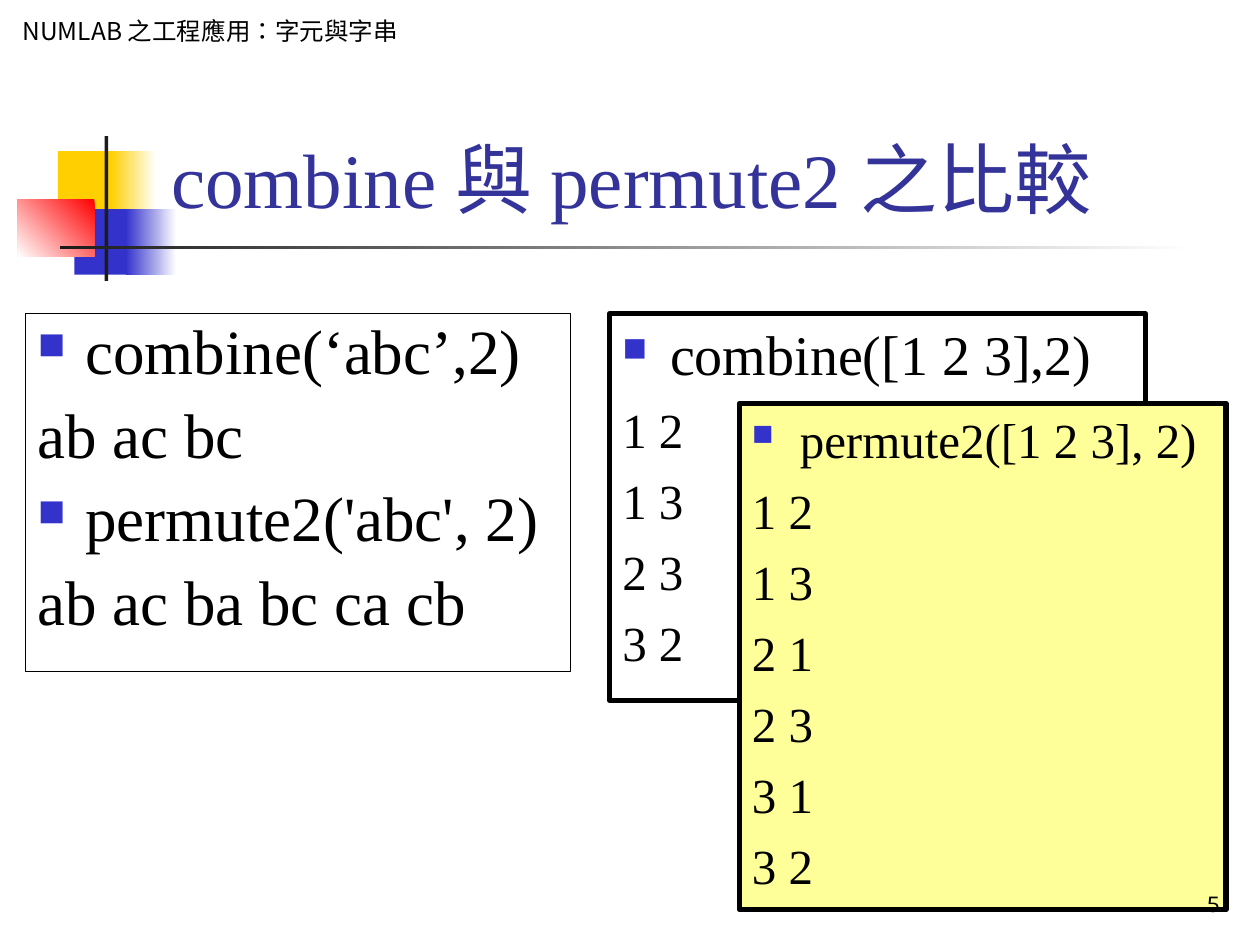
"""Build the slide comparing the output of combine and permute2."""
from dataclasses import dataclass

from lxml.etree import SubElement
from pptx import Presentation
from pptx.dml.color import RGBColor
from pptx.enum.shapes import MSO_SHAPE
from pptx.enum.text import MSO_ANCHOR, MSO_AUTO_SIZE, PP_ALIGN
from pptx.oxml.ns import qn
from pptx.util import Pt


@dataclass(frozen=True)
class Theme:
    black: str = "000000"
    white: str = "FFFFFF"
    yellow: str = "FFCF01"
    blue: str = "3333CC"
    red: str = "FF0000"
    charcoal: str = "1C1C1C"
    title_blue: str = "333399"
    pale_yellow: str = "FFFF99"
    serif: str = "Times New Roman"
    cjk: str = "Noto Sans CJK SC"
    number_font: str = "Karla"
    title_size: int = 44
    large: int = 36
    medium: int = 32
    small: int = 28
    caption: int = 14


theme = Theme()
PX = 914400 // 100
INDENT = 38 * PX


def write(frame, text, *, size, font=theme.serif, color=theme.black, align=PP_ALIGN.LEFT,
          before=0, spacing=None, hanging=False, bullet=False):
    paragraph = frame.paragraphs[0]
    if paragraph.runs:
        paragraph = frame.add_paragraph()
    properties = paragraph._p.get_or_add_pPr()
    if hanging:
        properties.set("marL", str(INDENT))
        properties.set("indent", str(-INDENT))
    if bullet:
        bullet_color = SubElement(properties, qn("a:buClr"))
        SubElement(bullet_color, qn("a:srgbClr"), val=theme.blue)
        SubElement(properties, qn("a:buSzPct"), val="60000")
        SubElement(properties, qn("a:buChar"), char="■")
    paragraph.alignment = align
    paragraph.space_before = Pt(before)
    if spacing:
        paragraph.line_spacing = spacing
    run = paragraph.add_run()
    run.text = text
    run.font.size = Pt(size)
    run.font.name = font
    run.font.color.rgb = RGBColor.from_string(color)
    run_properties = run._r.get_or_add_rPr()
    run_properties.set("lang", "zh-TW")
    SubElement(run_properties, qn("a:ea"), typeface=theme.cjk)


def add_box(bounds, fill=None, fade=None, angle=180, outline=None):
    box = slide.shapes.add_shape(MSO_SHAPE.RECTANGLE, *(value * PX for value in bounds))
    box.shadow.inherit = False
    if fade:
        box.fill.gradient()
        box.fill.gradient_angle = angle
        for stop, color in zip(box.fill.gradient_stops, fade):
            stop.color.rgb = RGBColor.from_string(color)
    elif fill:
        box.fill.solid()
        box.fill.fore_color.rgb = RGBColor.from_string(fill)
    else:
        box.fill.background()
    if outline:
        box.line.color.rgb = RGBColor.from_string(theme.black)
        box.line.width = Pt(outline)
    else:
        box.line.fill.background()
    box.text_frame.word_wrap = True
    box.text_frame.vertical_anchor = MSO_ANCHOR.TOP
    return box


deck = Presentation()
deck.slide_width, deck.slide_height = 1000 * PX, 750 * PX
slide = deck.slides.add_slide(deck.slide_layouts[5])

add_box((46, 120, 48, 52), fill=theme.yellow)
add_box((88, 120, 36, 52), fade=(theme.white, theme.yellow))
add_box((59, 166, 46, 52), fill=theme.blue)
add_box((100, 166, 40, 52), fade=(theme.white, theme.blue))
add_box((14, 158, 61, 46), fade=(theme.red, theme.white), angle=225)
add_box((83, 108, 3, 115), fill=theme.charcoal)
add_box((48, 195, 900, 3), fade=(theme.white, theme.charcoal))

course = add_box((8, 8, 366, 34), fill=theme.white)
write(course.text_frame, "NUMLAB 之工程應用：字元與字串", size=theme.caption, font=theme.cjk)

title = slide.shapes.title
title.left, title.top, title.width, title.height = (value * PX for value in (126, 23, 852, 160))
title.text_frame.auto_size = MSO_AUTO_SIZE.NONE
title.text_frame.vertical_anchor = MSO_ANCHOR.BOTTOM
write(title.text_frame, "combine 與 permute2 之比較", size=theme.title_size, color=theme.title_blue)

examples = [
    ((20, 249, 433, 284), None, 0.75, theme.large, theme.large, 0.9,
     ["combine(‘abc’,2)", "ab ac bc", "permute2('abc', 2)", "ab ac ba bc ca cb"]),
    ((484, 249, 425, 307), None, 3, theme.medium, theme.small, None,
     ["combine([1 2 3],2)", "1 2", "1 3", "2 3", "3 2"]),
    ((587, 320, 386, 402), theme.pale_yellow, 3, theme.small, theme.small, None,
     ["permute2([1 2 3], 2)", "1 2", "1 3", "2 1", "2 3", "3 1", "3 2"]),
]
for bounds, fill, outline, call_size, result_size, spacing, lines in examples:
    example = add_box(bounds, fill=fill, outline=outline)
    for index, line in enumerate(lines):
        is_call = "(" in line
        write(example.text_frame, line, size=call_size if is_call else result_size,
              before=result_size // 4 if index else 0, spacing=spacing,
              hanging=True, bullet=is_call)

page_number = slide.shapes.add_textbox(*(value * PX for value in (770, 683, 208, 50)))
page_number.text_frame.word_wrap = True
page_number.text_frame.vertical_anchor = MSO_ANCHOR.BOTTOM
write(page_number.text_frame, "5", size=theme.caption, font=theme.number_font, align=PP_ALIGN.RIGHT)

deck.save("out.pptx")
